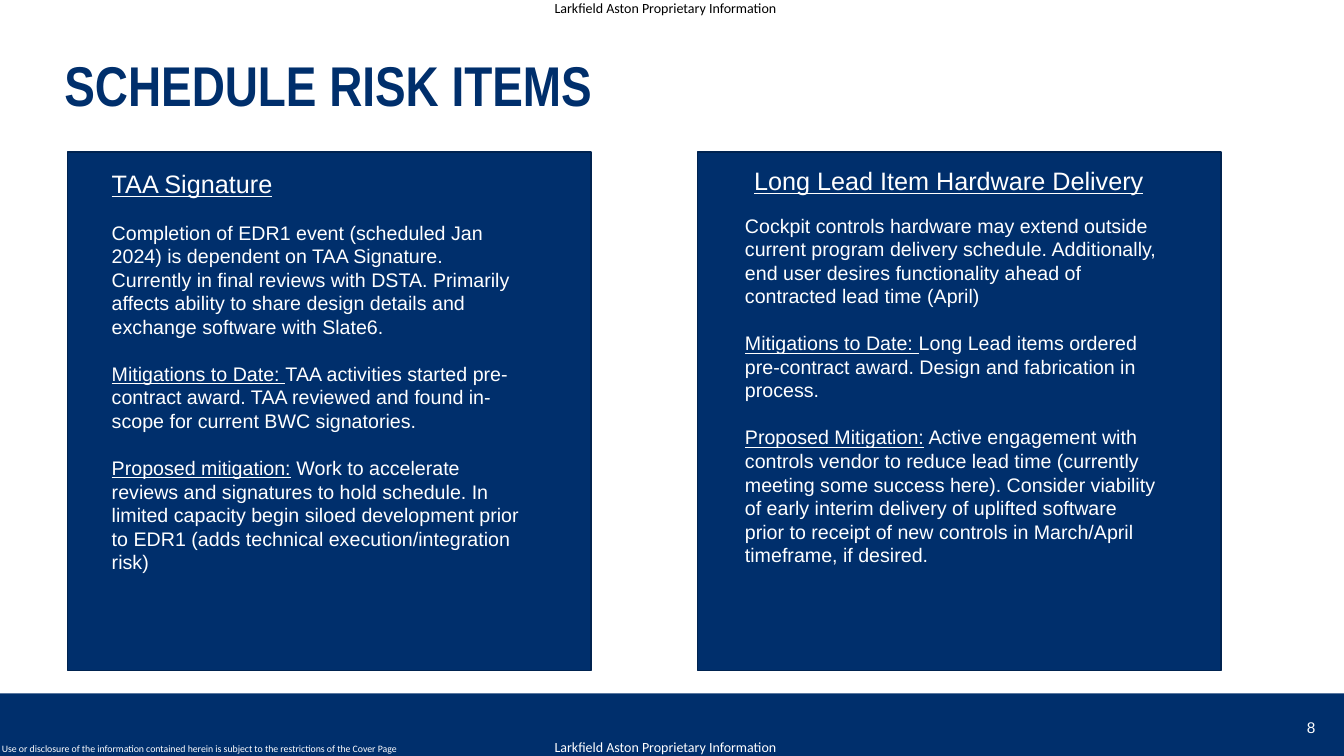
from dataclasses import dataclass

from lxml import etree
from pptx import Presentation
from pptx import util as u
from pptx.dml.color import RGBColor
from pptx.enum import shapes, text


@dataclass(frozen=True)
class Theme:
    navy: str = "002F6C"
    edge: str = "002350"
    white: str = "FFFFFF"
    black: str = "000000"
    body_font: str = "Arial"
    title_font: str = "Arial Narrow"
    label_font: str = "Calibri"
    title_size: float = 40
    heading_size: float = 18
    body_size: float = 14
    number_size: float = 11
    label_size: float = 10
    notice_size: float = 7
    paragraph_gap: float = 16.8


THEME = Theme()
PAGE_WIDTH, PAGE_HEIGHT = 13.33, 7.5
MARKING = "Larkfield Aston Proprietary Information"

TAA_RISK = [
    [("Completion of EDR1 event (scheduled Jan 2024) is dependent on TAA Signature. "
      "Currently in final reviews with DSTA. Primarily affects ability to share design "
      "details and exchange software with Slate6.", False)],
    [("Mitigations to Date: ", True),
     ("TAA activities started pre-contract award. TAA reviewed and found in-scope for "
      "current BWC signatories.", False)],
    [("Proposed mitigation:", True),
     (" Work to accelerate reviews and signatures to hold schedule. In limited capacity "
      "begin siloed development prior to EDR1 (adds technical execution/integration risk)",
      False)],
]
HARDWARE_RISK = [
    [("Cockpit controls hardware may extend outside current program delivery schedule. "
      "Additionally, end user desires functionality ahead of contracted lead time (April)",
      False)],
    [("Mitigations to Date: ", True),
     ("Long Lead items ordered pre-contract award. Design and fabrication in process.",
      False)],
    [("Proposed Mitigation:", True),
     (" Active engagement with controls vendor to reduce lead time (currently meeting some "
      "success here). Consider viability of early interim delivery of uplifted software "
      "prior to receipt of new controls in March/April timeframe, if desired.", False)],
]


def add_rectangle(page, left, top, width, height, line=None):
    box = page.shapes.add_shape(shapes.MSO_SHAPE.RECTANGLE, u.Inches(left), u.Inches(top),
                                u.Inches(width), u.Inches(height))
    box.shadow.inherit = False
    box.fill.solid()
    box.fill.fore_color.rgb = RGBColor.from_string(THEME.navy)
    if line:
        box.line.color.rgb = RGBColor.from_string(line)
        box.line.width = u.Pt(1)
    else:
        box.line.fill.background()


def add_text(page, left, top, width, height, paragraphs, size, font=THEME.body_font,
             color=THEME.white, bold=False, gap=0, wrap=True, inset=True):
    """Each paragraph is a list of (words, underlined) spans."""
    box = page.shapes.add_textbox(u.Inches(left), u.Inches(top),
                                  u.Inches(width), u.Inches(height))
    frame = box.text_frame
    frame.word_wrap = wrap
    if not inset:
        frame.margin_left = frame.margin_right = 0
        frame.margin_top = frame.margin_bottom = 0
    for index, spans in enumerate(paragraphs):
        para = frame.add_paragraph() if index else frame.paragraphs[0]
        if index:
            para.space_before = u.Pt(gap)
        for words, underlined in spans:
            span = para.add_run()
            span.text = words
            span.font.size = u.Pt(size)
            span.font.name = font
            span.font.bold = bold
            span.font.underline = underlined
            span.font.color.rgb = RGBColor.from_string(color)
    return frame


def add_footer(page, left, top, width, height):
    add_rectangle(page, left, top, width, height)
    # Page number
    number = add_text(page, left + width - 0.66, top + 0.19, 0.67, 0.29,
                      [[("8", False)]], THEME.number_size)
    number.paragraphs[0].alignment = text.PP_ALIGN.CENTER
    # Disclosure notice
    add_text(page, left - 0.08, top + 0.44, 4.22, 0.22,
             [[("Use or disclosure of the information contained herein is subject to the "
                "restrictions of the Cover Page", False)]],
             THEME.notice_size, THEME.label_font, wrap=False)


def add_marking(page, top, color):
    add_text(page, 5.5, top, 2.36, 0.17, [[(MARKING, False)]], THEME.label_size,
             THEME.label_font, color, inset=False)


def add_title(page, left, top, width, height):
    frame = add_text(page, left, top, width, height, [[("SCHEDULE RISK ITEMS", False)]],
                     THEME.title_size, THEME.title_font, THEME.navy, bold=True)
    frame.paragraphs[0].line_spacing = 0.9


def add_risk_panel(page, left, top, heading, heading_offset, body, body_offset):
    add_rectangle(page, left, top, 5.19, 5.14, THEME.edge)
    heading_x, heading_y = heading_offset
    add_text(page, left + heading_x, top + heading_y, 4.28, 0.4, [[(heading, True)]],
             THEME.heading_size)
    body_x, body_y = body_offset
    add_text(page, left + body_x, top + body_y, 4.28, 3.64, body, THEME.body_size,
             gap=THEME.paragraph_gap)


def main():
    deck = Presentation()
    deck.slide_width, deck.slide_height = u.Inches(PAGE_WIDTH), u.Inches(PAGE_HEIGHT)
    page = deck.slides.add_slide(deck.slide_layouts[6])

    # Footer band and proprietary markings
    add_footer(page, 0, 6.88, PAGE_WIDTH, 0.62)
    add_marking(page, 0, THEME.black)
    add_marking(page, PAGE_HEIGHT - 0.17, THEME.white)

    # Title and the two risk panels
    add_title(page, 0.54, 0.53, 11.11, 0.61)
    add_risk_panel(page, 0.67, 1.51, "TAA Signature", (0.34, 0.11),
                   TAA_RISK, (0.34, 0.63))
    add_risk_panel(page, 6.92, 1.51, "Long Lead Item Hardware Delivery", (0.46, 0.08),
                   HARDWARE_RISK, (0.37, 0.56))

    deck.save("out.pptx")


if __name__ == "__main__":
    main()
